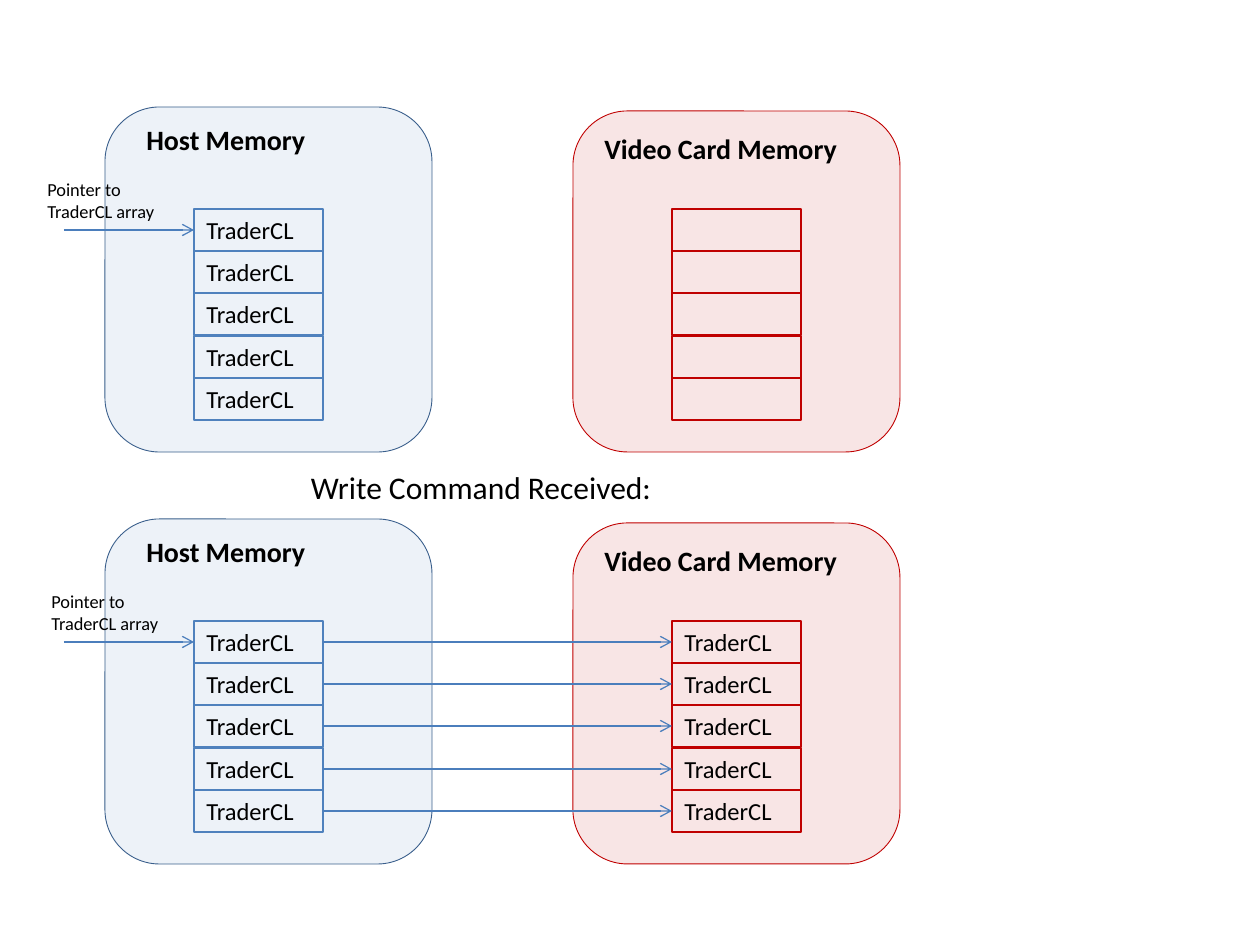
from lxml.etree import SubElement
from pptx import Presentation
from pptx.dml.color import RGBColor
from pptx.enum.shapes import MSO_CONNECTOR as Connector, MSO_SHAPE as Shape
from pptx.enum.text import MSO_ANCHOR as Anchor, MSO_AUTO_SIZE as AutoSize, PP_ALIGN as Align
from pptx.oxml.ns import qn
from pptx.util import Emu, Pt

PX = 914400 / 126
BLUE, RED, BLACK = "4F81BD", "C00000", "000000"
ROWS = 5
STACK_HEIGHT, CELL_HEIGHT = 212, 42

deck = Presentation()
deck.slide_width, deck.slide_height = Emu(9144000), Emu(6858000)
page = deck.slides.add_slide(deck.slide_layouts[6])
color = RGBColor.from_string


def add_box(kind, bounds, line=None, width=0.75, text="", size=14, bold=False, align=Align.LEFT):
    box = page.shapes.add_shape(kind, *[Emu(round(n * PX)) for n in bounds])
    box.shadow.inherit = False
    box.fill.background()
    if line:
        box.line.color.rgb = color(line)
        box.line.width = Pt(width)
    else:
        box.line.fill.background()
    if text:
        frame = box.text_frame
        frame.word_wrap = True
        frame.auto_size = AutoSize.SHAPE_TO_FIT_TEXT
        frame.vertical_anchor = Anchor.TOP
        para = frame.paragraphs[0]
        para.text = text
        para.alignment = align
        para.font.name, para.font.size, para.font.bold = "Calibri", Pt(size), bold
        para.font.color.rgb = color(BLACK)
    return box


def add_arrow(start_x, end_x, y, start_cell, end_cell):
    ends = [Emu(round(n * PX)) for n in (start_x, y, end_x, y)]
    arrow = page.shapes.add_connector(Connector.STRAIGHT, *ends)
    if start_cell is not None:
        arrow.begin_connect(start_cell, 3)
    arrow.end_connect(end_cell, 1)
    arrow.line.color.rgb = color("4B7EBC")
    arrow.line.width = Pt(0.75)
    SubElement(arrow.line._get_or_add_ln(), qn("a:tailEnd"), type="arrow")
    SubElement(arrow._element.spPr, qn("a:effectLst"))


# Memory state before and after the write command
for top, label_left, written in ((107, 35, False), (519, 39, True)):
    # Translucent memory panels
    for bounds, fill, line in (((105, top, 327, 345), BLUE, "3A5F8C"),
                               ((573, top + 4, 327, 341), RED, RED)):
        panel = add_box(Shape.ROUNDED_RECTANGLE, bounds, line, 0.5)
        panel.fill.solid()
        panel.fill.fore_color.rgb = color(fill)
        tint = panel._element.spPr.find(qn("a:solidFill"))[0]
        SubElement(tint, qn("a:alpha"), val="10000")

    # Stacks of array cells
    cell_tops = [top + 102 + row * STACK_HEIGHT // ROWS for row in range(ROWS)]
    host_cells, card_cells = [
        [add_box(Shape.RECTANGLE, (left, y, 129, CELL_HEIGHT), line, text=text) for y in cell_tops]
        for left, line, text in ((194, BLUE, "TraderCL"),
                                 (672, RED, "TraderCL" if written else ""))
    ]

    # Panel titles
    add_box(Shape.RECTANGLE, (134, top + 9, 189, 47), text="Host Memory", size=16, bold=True)
    add_box(Shape.RECTANGLE, (592, top + 18, 287, 47), text="Video Card Memory", size=16, bold=True)

    # Copy arrows from host to card
    if written:
        for y, host, card in zip(cell_tops, host_cells, card_cells):
            add_arrow(323, 672, y + CELL_HEIGHT // 2, host, card)

    # Pointer to the first host cell
    add_arrow(64, 194, cell_tops[0] + CELL_HEIGHT // 2, None, host_cells[0])
    add_box(Shape.RECTANGLE, (label_left, top + 65, 139, 57),
            text="Pointer to TraderCL array", size=10.5)

# Heading between the two states
add_box(Shape.RECTANGLE, (243, 462, 476, 50),
        text="Write Command Received:", size=18, align=Align.CENTER)

deck.save("out.pptx")
